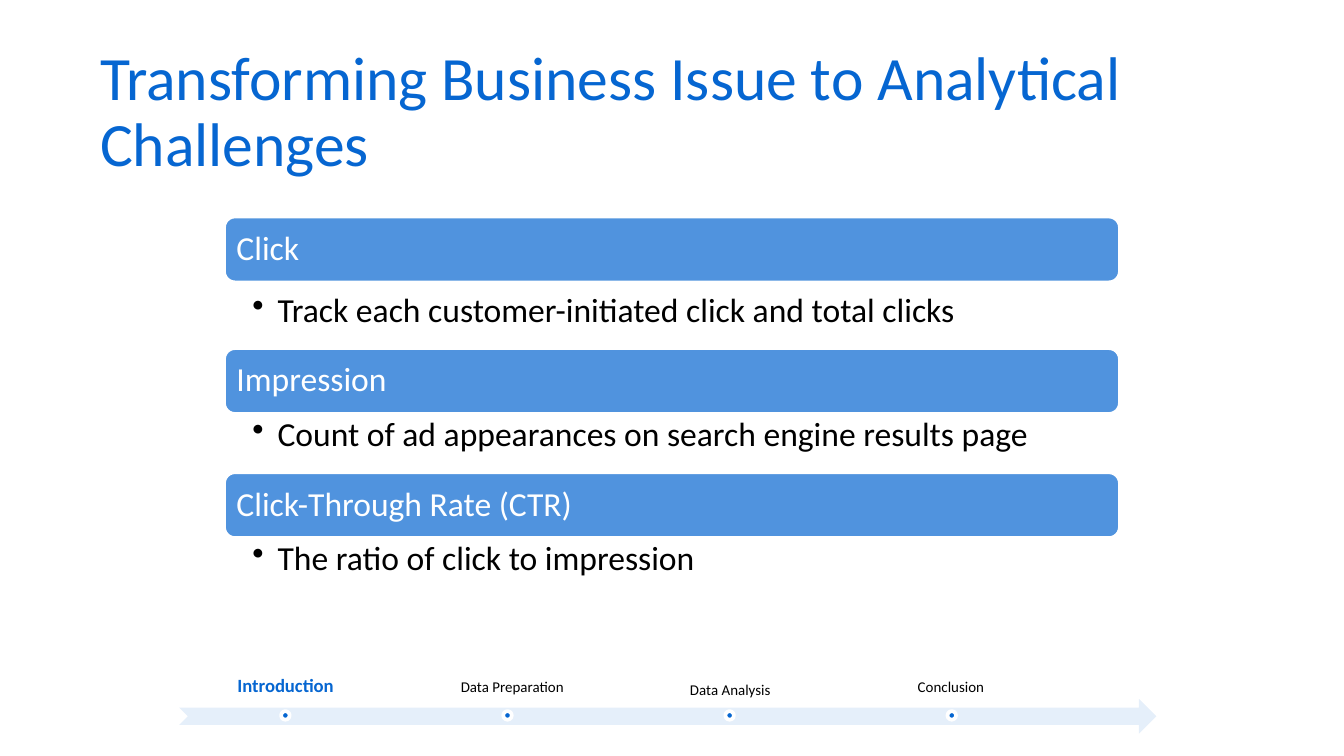
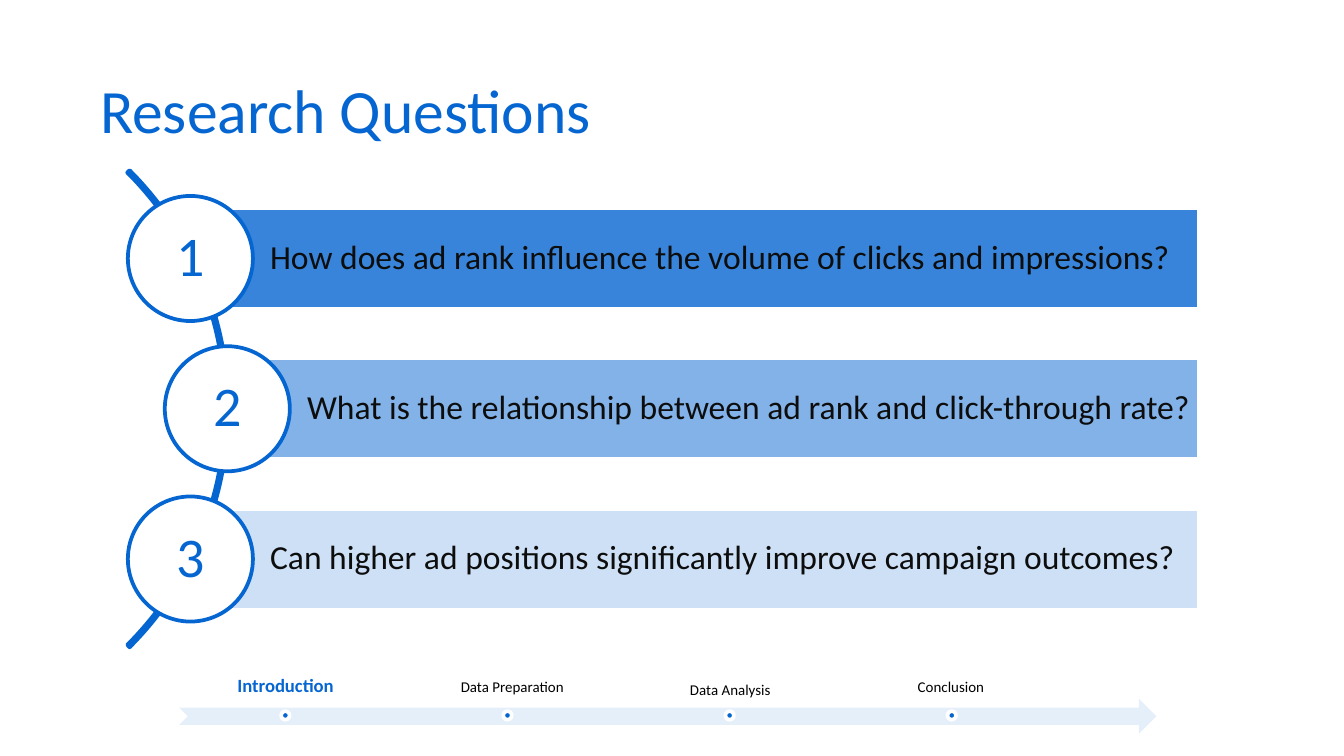
from pptx import Presentation
from pptx.dml.color import RGBColor
from pptx.enum.shapes import MSO_SHAPE
from pptx.enum.text import MSO_ANCHOR, PP_ALIGN
from pptx.oxml.ns import qn
from pptx.util import Pt
from lxml import etree

BLUE = RGBColor(0x06, 0x66, 0xD1)
WHITE = RGBColor(0xFF, 0xFF, 0xFF)
BLACK = RGBColor(0x00, 0x00, 0x00)
DARK = RGBColor(0x0D, 0x0D, 0x0D)
FONT = "Calibri"

RECTANGLE, ROUNDED = MSO_SHAPE.RECTANGLE, MSO_SHAPE.ROUNDED_RECTANGLE
CIRCLE, ARC = MSO_SHAPE.OVAL, MSO_SHAPE.BLOCK_ARC
NOTCHED_ARROW = MSO_SHAPE.NOTCHED_RIGHT_ARROW
TOP, MIDDLE, BOTTOM = MSO_ANCHOR.TOP, MSO_ANCHOR.MIDDLE, MSO_ANCHOR.BOTTOM
LEFT, CENTER = PP_ALIGN.LEFT, PP_ALIGN.CENTER

TITLE_BOX = (50, 21.6, 620, 78.5)
METRICS_BOX = (120, 116, 480)
QUESTIONS_BOX = (68.5, 105, 573.7)
TIMELINE_BOX = (96, 360, 523.5)

METRICS = [
    ("Click", "Track each customer-initiated click and total clicks"),
    ("Impression", "Count of ad appearances on search engine results page"),
    ("Click-Through Rate (CTR)", "The ratio of click to impression"),
]
# Question, indent from the left edge, fill opacity in percent
QUESTIONS = [
    ("How does ad rank influence the volume of clicks and impressions?", 0, 80),
    ("What is the relationship between ad rank and click-through rate?", 19.8, 50),
    ("Can higher ad positions significantly improve campaign outcomes?", 0, 20),
]
# Stage, offset of its label, vertical anchor
STAGES = [
    ("Introduction", 0.5, BOTTOM),
    ("Data Preparation", 122, TOP),
    ("Data Analysis", 238.8, BOTTOM),
    ("Conclusion", 357, TOP),
]


def add_shape(slide, kind, box, fill, line=None, opacity=100):
    shape = slide.shapes.add_shape(kind, *map(Pt, box))
    shape.shadow.inherit = False
    shape.fill.solid()
    shape.fill.fore_color.rgb = fill
    if opacity < 100:
        color = shape.fill._xPr.find(".//" + qn("a:srgbClr"))
        etree.SubElement(color, qn("a:alpha"), val=str(opacity * 1000))
    if line is None:
        shape.line.fill.background()
    else:
        shape.line.color.rgb = line
        shape.line.width = Pt(2)
    return shape


def set_text(shape, text, size, color, insets=(0, 0, 0, 0), anchor=MIDDLE,
             align=LEFT, bold=False, bullet_indent=0):
    frame = shape.text_frame
    frame.word_wrap = True
    frame.vertical_anchor = anchor
    (frame.margin_left, frame.margin_top,
     frame.margin_right, frame.margin_bottom) = map(Pt, insets)
    paragraph = frame.paragraphs[0]
    paragraph.text = text
    paragraph.alignment = align
    paragraph.line_spacing = 0.9
    if bullet_indent:
        properties = paragraph._p.get_or_add_pPr()
        properties.set("marL", str(Pt(bullet_indent)))
        properties.set("indent", str(-Pt(bullet_indent)))
        bullet_color = etree.SubElement(properties, qn("a:buClr"))
        etree.SubElement(bullet_color, qn("a:srgbClr"), val=str(color))
        etree.SubElement(properties, qn("a:buChar"), char="•")
    paragraph.font.name = FONT
    paragraph.font.size = Pt(size)
    paragraph.font.bold = bold
    paragraph.font.color.rgb = color


def add_text(slide, box, *arguments, **options):
    set_text(slide.shapes.add_textbox(*map(Pt, box)), *arguments, **options)


def add_timeline(slide, left, top, width, current):
    """Stage labels above an arrow, with a dot for each stage."""
    add_shape(slide, NOTCHED_ARROW, (left, top + 14.4, width, 18.7), BLUE, opacity=10)
    for index, (stage, offset, anchor) in enumerate(STAGES):
        active = stage == current
        inset = 5.8 if active else 4.3
        add_text(slide, (left + offset, top, 113, 18.7), stage,
                 10 if active else 8, BLUE if active else BLACK,
                 insets=(inset,) * 4, anchor=anchor, align=CENTER, bold=active)
        add_shape(slide, CIRCLE, (left + 54.6 + 119 * index, top + 21, 4.6, 4.6),
                  BLUE, WHITE)


def add_metrics(slide, left, top, width):
    """Stacked header bars, each with one bullet below."""
    bar_height, bullet_height, first_gap = 35.3, 31.2, 4
    for index, (name, description) in enumerate(METRICS):
        bar = add_shape(slide, ROUNDED, (left, top, width, bar_height),
                        BLUE, WHITE, opacity=70)
        set_text(bar, name, 18, WHITE, insets=(5, 5, 5, 5))
        top += bar_height + (first_gap if index == 0 else 0)
        add_text(slide, (left, top, width, bullet_height), description, 18, BLACK,
                 insets=(15.2, 1.8, 10, 1.8), anchor=TOP, bullet_indent=13.5)
        top += bullet_height


def add_questions(slide, left, top, width):
    """Numbered circles along an arc, each with a question bar."""
    diameter, bar_height, step = 67, 54, 80.5
    arc_size = 361.4
    arc_top = top + step + diameter / 2 - arc_size / 2
    arc = add_shape(slide, ARC, (left - 307.5, arc_top, arc_size, arc_size), BLUE, BLUE)
    for index, value in enumerate((189, 27, 0.005)):
        arc.adjustments[index] = value

    for index, (question, indent, opacity) in enumerate(QUESTIONS):
        circle_left, circle_top = left + indent, top + index * step
        bar_left = circle_left + diameter / 2
        bar_top = circle_top + (diameter - bar_height) / 2
        bar = add_shape(slide, RECTANGLE,
                        (bar_left, bar_top, left + width - bar_left, bar_height),
                        BLUE, WHITE, opacity)
        set_text(bar, question, 18, DARK, insets=(42.7, 3.6, 3.4, 3.6))
        circle = add_shape(slide, CIRCLE, (circle_left, circle_top, diameter, diameter),
                           WHITE, BLUE)
        set_text(circle, str(index + 1), 30, BLUE, align=CENTER)


def add_slide(presentation, title, add_content, content_box):
    slide = presentation.slides.add_slide(presentation.slide_layouts[6])
    add_text(slide, TITLE_BOX, title, 33, BLUE, insets=(3.6, 1.8, 3.6, 1.8))
    add_content(slide, *content_box)
    add_timeline(slide, *TIMELINE_BOX, current="Introduction")


def main():
    presentation = Presentation()
    presentation.slide_width, presentation.slide_height = Pt(720), Pt(405)
    add_slide(presentation, "Transforming Business Issue to Analytical Challenges",
              add_metrics, METRICS_BOX)
    add_slide(presentation, "Research Questions", add_questions, QUESTIONS_BOX)
    presentation.save("out.pptx")


if __name__ == "__main__":
    main()
